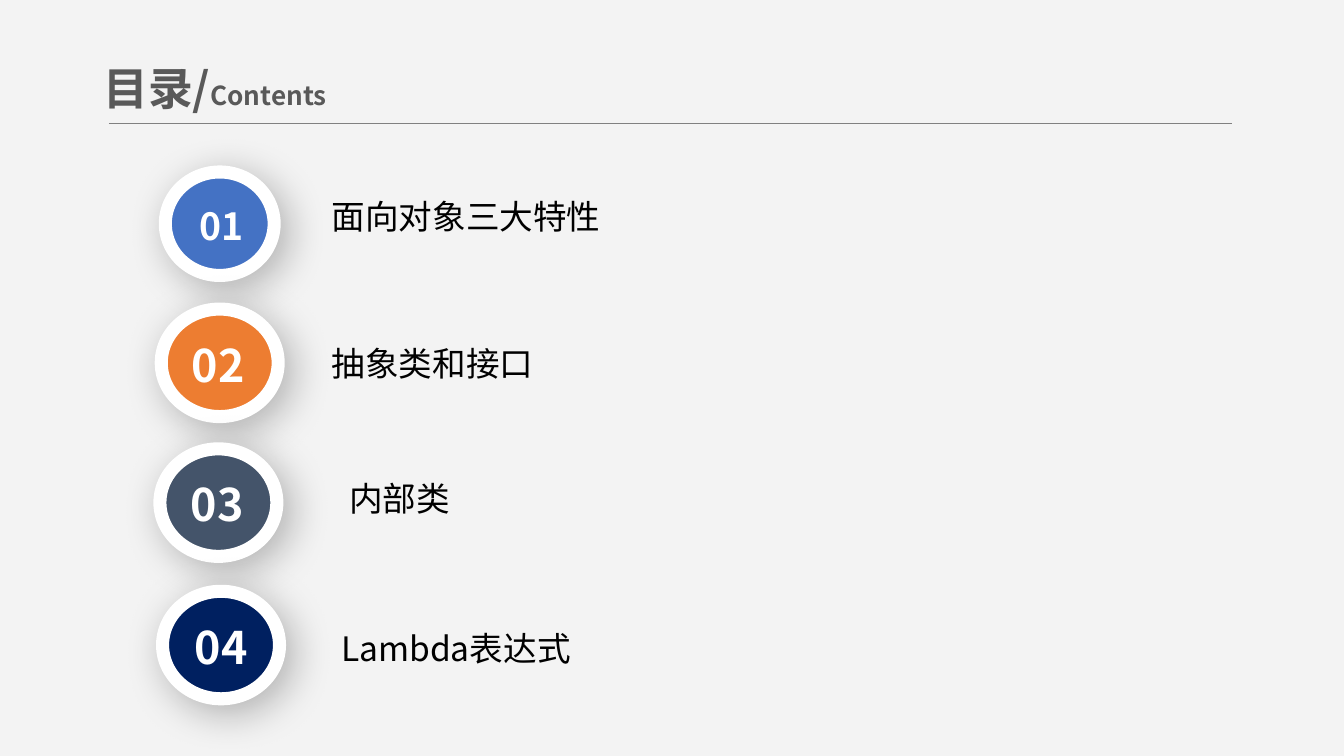
from lxml.etree import SubElement
from pptx import Presentation
from pptx.dml.color import RGBColor
from pptx.enum.shapes import MSO_CONNECTOR as CONNECTOR, MSO_SHAPE as SHAPE
from pptx.enum.text import MSO_ANCHOR as ANCHOR, MSO_AUTO_SIZE as AUTO_SIZE, PP_ALIGN as ALIGN
from pptx.oxml.ns import qn
from pptx.util import Inches, Pt

FONT = "Noto Sans CJK SC"
PAGE_WIDTH = 10
PAGE_HEIGHT = PAGE_WIDTH * 9 / 16
SHADOW = {"blurRad": Pt(22), "dist": Pt(6), "dir": 45 * 60000, "algn": "tl", "rotWithShape": 0}
SHADOW_ALPHA = 28

ENTRIES = [
    {"number": "01", "title": "面向对象三大特性", "color": "4472C4", "size": 20,
     "disc": (1.23, 1.28, 0.81, 0.77), "number_box": (0.11, 0.19, 0.61, 0.41),
     "title_box": (2.37, 1.41, 2.83, 0.4)},
    {"number": "02", "title": "抽象类和接口", "color": "ED7D31", "size": 24,
     "disc": (1.2, 2.3, 0.87, 0.8), "number_box": (0.1, 0.17, 0.65, 0.34),
     "title_box": (2.37, 2.5, 2.49, 0.4)},
    {"number": "03", "title": "内部类", "color": "44546A", "size": 24,
     "disc": (1.19, 3.34, 0.87, 0.8), "number_box": (0.1, 0.17, 0.65, 0.48),
     "title_box": (2.5, 3.51, 1.26, 0.4)},
    {"number": "04", "title": "Lambda表达式", "color": "002060", "size": 24,
     "disc": (1.21, 4.4, 0.87, 0.8), "number_box": (0.11, 0.17, 0.65, 0.48),
     "title_box": (2.44, 4.62, 2.36, 0.4)},
]


def rgb(color):
    return RGBColor.from_string(color)


def set_all(target, values):
    for name, value in values.items():
        setattr(target, name, value)


def add_span(para, text, size, color, bold=False):
    span = para.add_run()
    span.text = text
    set_all(span.font, {"name": FONT, "size": Pt(size), "bold": bold})
    span.font.color.rgb = rgb(color)
    SubElement(span.font._element, qn("a:ea"), typeface=FONT)


def add_text(shapes, box, spans, frame_format, align=ALIGN.LEFT):
    frame = shapes.add_textbox(*map(Inches, box)).text_frame
    set_all(frame, {"word_wrap": True, **frame_format})
    para = frame.paragraphs[0]
    para.alignment = align
    for span in spans:
        add_span(para, *span)


def add_shadow(shape):
    shape.shadow.inherit = False
    effects = shape._element.spPr.find(qn("a:effectLst"))
    values = {name: str(value) for name, value in SHADOW.items()}
    outer = SubElement(effects, qn("a:outerShdw"), values)
    color = SubElement(outer, qn("a:srgbClr"), val="000000")
    SubElement(color, qn("a:alpha"), val=str(SHADOW_ALPHA * 1000))


def add_header(page, box):
    left, top, width, height = box
    add_text(page.shapes, (left, top, 2.47, height),
             [("目录/", 24, "595959", True), ("Contents", 14, "595959", True)],
             {"vertical_anchor": ANCHOR.MIDDLE})
    rule = page.shapes.add_connector(
        CONNECTOR.STRAIGHT, Inches(left + 0.14), Inches(top + height),
        Inches(left + width), Inches(top + height))
    rule.line.color.rgb = rgb("808080")
    rule.line.width = Pt(0.5)
    SubElement(rule._element.spPr, qn("a:effectLst"))


def add_badge(page, box, entry):
    group = page.shapes.add_group_shape()
    disc = group.shapes.add_shape(SHAPE.OVAL, *map(Inches, box))
    disc.fill.solid()
    disc.fill.fore_color.rgb = rgb(entry["color"])
    disc.line.color.rgb = rgb("FFFFFF")
    disc.line.width = Pt(7)
    add_shadow(disc)
    left, top, width, height = entry["number_box"]
    add_text(group.shapes, (box[0] + left, box[1] + top, width, height),
             [(entry["number"], entry["size"], "FFFFFF", True)],
             {"auto_size": AUTO_SIZE.SHAPE_TO_FIT_TEXT,
              "margin_left": Inches(0.07), "margin_right": Inches(0.07),
              "margin_top": Inches(0.04), "margin_bottom": Inches(0.04)},
             ALIGN.CENTER)


def add_entry(page, entry):
    add_badge(page, entry["disc"], entry)
    add_text(page.shapes, entry["title_box"], [(entry["title"], 18, "000000")],
             {"auto_size": AUTO_SIZE.SHAPE_TO_FIT_TEXT})


def main():
    deck = Presentation()
    set_all(deck, {"slide_width": Inches(PAGE_WIDTH), "slide_height": Inches(PAGE_HEIGHT)})
    page = deck.slides.add_slide(deck.slide_layouts[6])
    page.background.fill.solid()
    page.background.fill.fore_color.rgb = rgb("F3F3F3")
    add_header(page, (0.67, 0.38, 8.5, 0.54))
    for entry in ENTRIES:
        add_entry(page, entry)
    deck.save("out.pptx")


if __name__ == "__main__":
    main()
